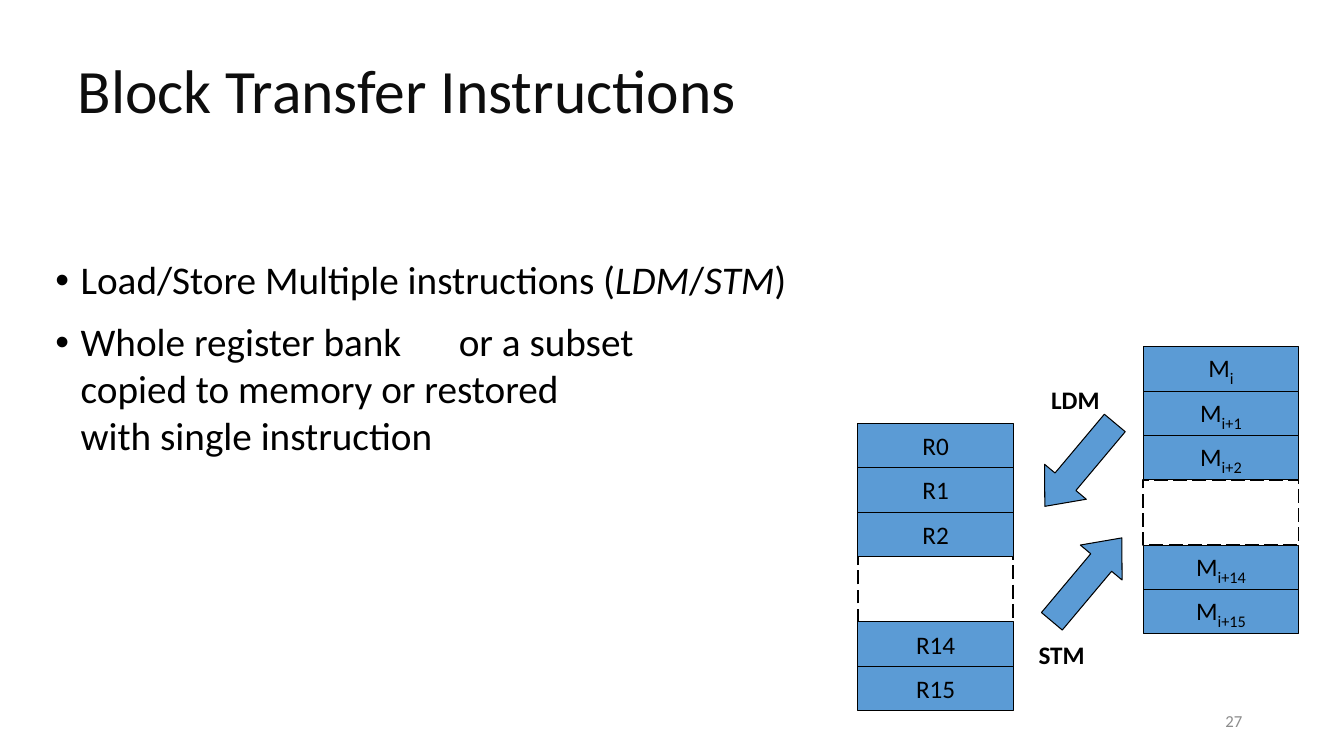
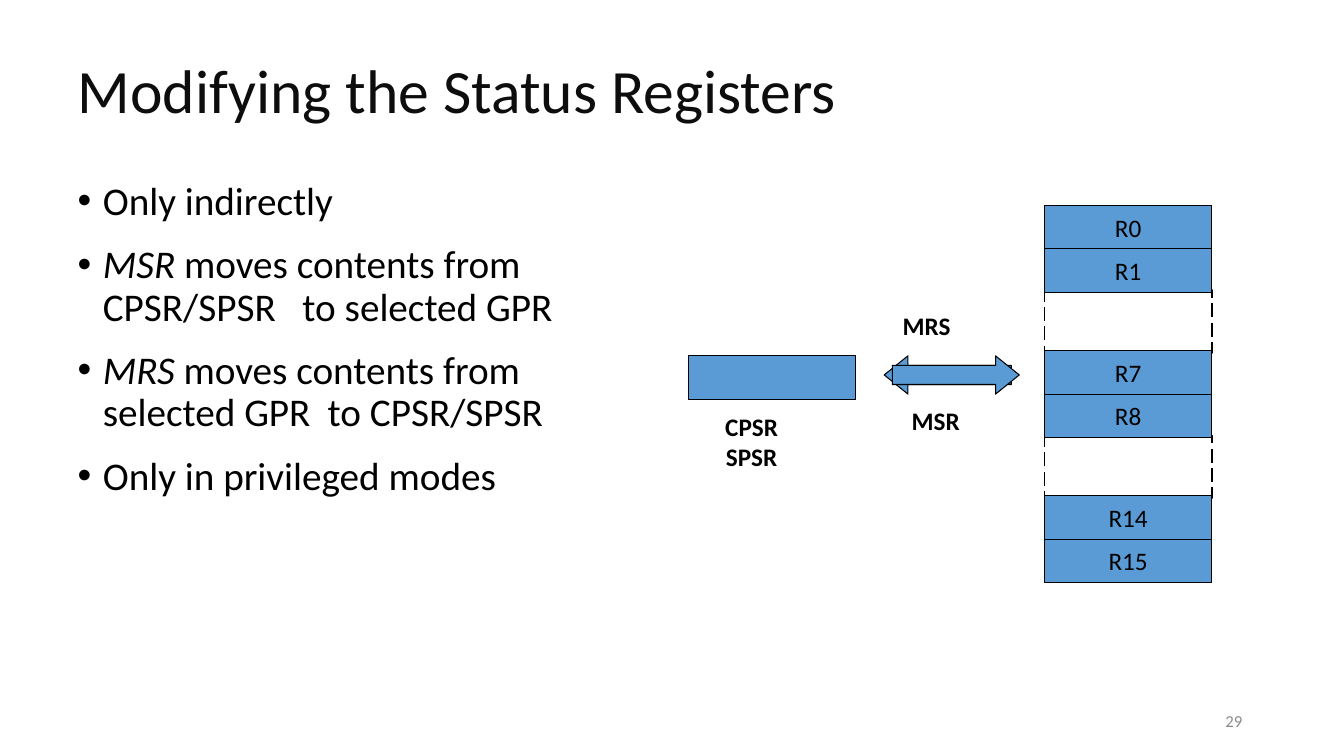
from lxml import etree
from pptx import Presentation, util as u
from pptx.dml import color
from pptx.enum import dml, shapes, text
from pptx.oxml import ns

COLORS = {"title": "0D0D0D", "ink": "000000", "number": "8C8C8C", "block": "5B9BD5"}
LEFT, CENTER, RIGHT = text.PP_ALIGN.LEFT, text.PP_ALIGN.CENTER, text.PP_ALIGN.RIGHT
MIDDLE, TOP = text.MSO_ANCHOR.MIDDLE, text.MSO_ANCHOR.TOP
LEFT_ARROW, RIGHT_ARROW = shapes.MSO_SHAPE.LEFT_ARROW, shapes.MSO_SHAPE.RIGHT_ARROW


class Lecture:
    """Hold the lecture style and draw elements on the current page."""

    fonts = {
        "title": {"size": u.Pt(44), "name": "Calibri"},
        "list": {"size": u.Pt(28), "name": "Calibri"},
        "cell": {"size": u.Pt(18), "name": "Calibri"},
        "label": {"size": u.Pt(18), "name": "Calibri", "bold": True},
        "number": {"size": u.Pt(12), "name": "Calibri"},
    }
    italic = {"italic": True}
    subscript = {"size": u.Pt(20), "baseline": "-25000"}

    def __init__(self):
        self.deck = Presentation()
        self.deck.slide_width = u.Inches(13.33)
        self.deck.slide_height = u.Inches(7.5)
        self.page = None

    def add_page(self, title, number):
        self.page = self.deck.slides.add_slide(self.deck.slide_layouts[1])
        box = self.page.shapes.title
        self.place(box, 0.67, 0.3, 12, 1.25)
        self.frame(box, MIDDLE, True)
        para = box.text_frame.paragraphs[0]
        para.line_spacing = 0.9
        self.fill_para(para, title, "title", LEFT, "title")
        box = self.page.shapes.add_textbox(*map(u.Inches, (9.42, 6.95, 3, 0.4)))
        self.frame(box, MIDDLE, True)
        self.fill_para(box.text_frame.paragraphs[0], number, "number", RIGHT, "number")

    def place(self, box, *bounds):
        for side, value in zip(("left", "top", "width", "height"), bounds):
            setattr(box, side, u.Inches(value))

    def frame(self, box, anchor, wrap, fit=text.MSO_AUTO_SIZE.NONE):
        settings = {"vertical_anchor": anchor, "word_wrap": wrap, "auto_size": fit}
        for key, value in settings.items():
            setattr(box.text_frame, key, value)

    def fill_para(self, para, words, style, align, ink="ink", marked=italic):
        para.alignment = align
        for index, part in enumerate(words.split("*")):
            if not part:
                continue
            span = para.add_run()
            span.text = part
            look = {**self.fonts[style], **(marked if index % 2 else {})}
            baseline = look.pop("baseline", None)
            for key, value in look.items():
                setattr(span.font, key, value)
            span.font.color.rgb = color.RGBColor.from_string(COLORS[ink])
            if baseline:
                span._r.get_or_add_rPr().set("baseline", baseline)

    def bullets(self, bounds, items):
        box = self.page.placeholders[1]
        self.place(box, *bounds)
        self.frame(box, TOP, True)
        for index, (words, before, bullet, stop) in enumerate(items):
            frame = box.text_frame
            para = frame.add_paragraph() if index else frame.paragraphs[0]
            props = para._p.get_or_add_pPr()
            props.set("marL", str(u.Inches(0.25)))
            props.set("indent", str(u.Inches(-0.25 if bullet else 0)))
            if bullet:
                etree.SubElement(props, ns.qn("a:buChar")).set("char", "•")
            else:
                etree.SubElement(props, ns.qn("a:buNone"))
            if stop:
                tabs = etree.SubElement(props, ns.qn("a:tabLst"))
                tab = etree.SubElement(tabs, ns.qn("a:tab"))
                tab.set("pos", str(u.Inches(stop)))
                tab.set("algn", "l")
            para.line_spacing = 0.9
            para.space_before = u.Pt(before)
            self.fill_para(para, words, "list", LEFT)

    def block(self, bounds, words="", kind=shapes.MSO_SHAPE.RECTANGLE, dashed=False):
        box = self.page.shapes.add_shape(kind, *map(u.Inches, bounds))
        box.shadow.inherit = False
        box.line.color.rgb = color.RGBColor.from_string(COLORS["ink"])
        box.line.width = u.Pt(1.25 if dashed else 0.75)
        if dashed:
            box.fill.background()
            box.line.dash_style = dml.MSO_LINE.LONG_DASH
        else:
            box.fill.solid()
            box.fill.fore_color.rgb = color.RGBColor.from_string(COLORS["block"])
        if words:
            self.frame(box, MIDDLE, False)
            para = box.text_frame.paragraphs[0]
            self.fill_para(para, words, "cell", CENTER, marked=self.subscript)
        return box

    def arrow(self, bounds, kind, head, turn=0):
        box = self.block(bounds, kind=kind)
        box.adjustments[1] = head
        box.rotation = turn

    def stack(self, left, top, width, cell, gap, names, overlap=0):
        cells = []
        for name in names:
            if name:
                cells.append(((left, top, width, cell), name))
            else:
                bounds = (left, top - overlap, width, gap + 2 * overlap)
                self.block(bounds, dashed=True)
            top += cell if name else gap
        for bounds, name in cells:
            self.block(bounds, name)

    def label(self, bounds, *lines):
        box = self.page.shapes.add_textbox(*map(u.Inches, bounds))
        self.frame(box, TOP, False, text.MSO_AUTO_SIZE.SHAPE_TO_FIT_TEXT)
        for index, words in enumerate(lines):
            frame = box.text_frame
            para = frame.add_paragraph() if index else frame.paragraphs[0]
            self.fill_para(para, words, "label", CENTER)


def block_transfer(lecture):
    """Draw the page on block transfers."""
    lecture.add_page("Block Transfer Instructions", "27")
    lecture.bullets((0.45, 2.54, 8.4, 4.96), [
        ("Load/Store Multiple instructions (*LDM*/*STM*)", 0, True, None),
        ("Whole register bank\tor a subset", 14, True, 4),
        ("copied to memory or restored", 3, False, None),
        ("with single instruction", 3, False, None),
    ])
    registers = ["R0", "R1", "R2", None, "R14", "R15"]
    memory = ["M*i*", "M*i+1*", "M*i+2*", None, "M*i+14*", "M*i+15*"]
    for left, top, names in ((8.51, 4.2, registers), (11.34, 3.44, memory)):
        lecture.stack(left, top, 1.54, 0.44, 0.65, names)
    lecture.arrow((10.17, 4.34, 1.08, 0.54), LEFT_ARROW, 0.59, 310)
    lecture.arrow((10.24, 5.48, 1.08, 0.54), RIGHT_ARROW, 0.59, 310)
    lecture.label((10.32, 3.76, 0.69, 0.4), "LDM")
    lecture.label((10.2, 6.29, 0.66, 0.4), "STM")


def status_registers(lecture):
    """Draw the page on status registers."""
    lecture.add_page("Modifying the Status Registers", "29")
    lecture.bullets((0.67, 1.75, 5.75, 5.47), [
        ("Only indirectly", 0, True, None),
        ("*MSR* moves contents from CPSR/SPSR\tto selected GPR", 15, True, 2.23),
        ("*MRS* moves contents from selected GPR\tto CPSR/SPSR", 15, True, 2.48),
        ("Only in privileged modes", 15, True, None),
    ])
    names = ["R0", "R1", None, "R7", "R8", None, "R14", "R15"]
    lecture.stack(10.36, 2.04, 1.66, 0.43, 0.58, names, 0.02)
    lecture.block((6.83, 3.53, 1.66, 0.43))
    lecture.label((7.09, 4.03, 0.73, 0.71), "CPSR", "SPSR")
    for left, kind in ((8.77, LEFT_ARROW), (8.85, RIGHT_ARROW)):
        lecture.arrow((left, 3.53, 1.26, 0.38), kind, 0.62)
    lecture.label((8.94, 3.97, 0.68, 0.4), "MSR")
    lecture.label((8.85, 3.03, 0.68, 0.4), "MRS")


def main():
    """Build and save the deck."""
    lecture = Lecture()
    block_transfer(lecture)
    status_registers(lecture)
    lecture.deck.save("out.pptx")


if __name__ == "__main__":
    main()
